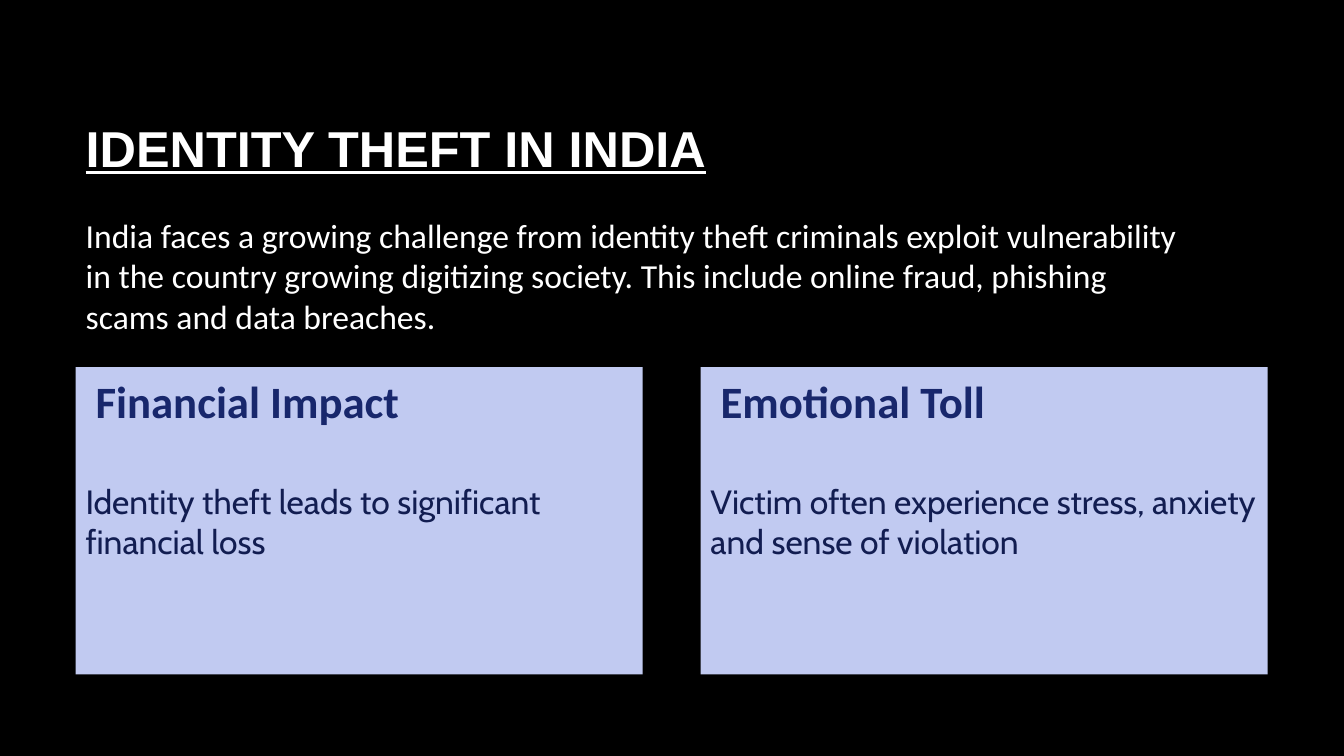
"""Build the slide on identity theft in India."""
import dataclasses

import pptx
import pptx.dml.color
import pptx.enum.shapes
import pptx.enum.text
import pptx.oxml
import pptx.util

Pt = pptx.util.Pt
Anchor = pptx.enum.text.MSO_ANCHOR


@dataclasses.dataclass(frozen=True)
class Theme:
    """Hold the colours and text formats."""
    background: str = "000000"
    card: str = "C1CAF1"
    title: dict = dataclasses.field(default_factory=lambda: dict(
        name="Arial", size=Pt(36), color="FFFFFF", bold=True, underline=True))
    intro: dict = dataclasses.field(default_factory=lambda: dict(
        name="Calibri", size=Pt(24), color="FFFFFF"))
    heading: dict = dataclasses.field(default_factory=lambda: dict(
        name="Calibri", size=Pt(32), color="18276C", bold=True))
    detail: dict = dataclasses.field(default_factory=lambda: dict(
        name="Cabin", size=Pt(24), color="121D51", bold=False))


class SlideBuilder:
    """Place styled elements on a grid of 160 columns by 90 rows."""

    def __init__(self, presentation, theme):
        self.theme = theme
        self.column = presentation.slide_width / 160
        self.row = presentation.slide_height / 90
        self.slide = presentation.slides.add_slide(presentation.slide_layouts[1])
        self.fill(self.slide.background.fill, theme.background)

    def fill(self, target, color):
        target.solid()
        target.fore_color.rgb = pptx.dml.color.RGBColor.from_string(color)

    def box(self, left, top, width, height):
        return (round(left * self.column), round(top * self.row),
                round(width * self.column), round(height * self.row))

    def frame(self, shape, anchor, margin_top=Pt(3.6)):
        settings = dict(word_wrap=True, auto_size=pptx.enum.text.MSO_AUTO_SIZE.NONE,
                        vertical_anchor=anchor, margin_top=margin_top)
        for name, value in settings.items():
            setattr(shape.text_frame, name, value)

    def add_text(self, paragraph, text, style, indent=0, space_before=Pt(0)):
        run = paragraph.add_run()
        run.text = text
        for name, value in style.items():
            if name == "color":
                run.font.color.rgb = pptx.dml.color.RGBColor.from_string(value)
            else:
                setattr(run.font, name, value)
        paragraph.alignment = pptx.enum.text.PP_ALIGN.LEFT
        paragraph.space_before = space_before
        properties = paragraph._p.get_or_add_pPr()
        properties.set("marL", str(indent))
        properties.set("indent", "0")
        return properties

    def placeholder(self, shape, box, text, style, anchor, **frame):
        shape.left, shape.top, shape.width, shape.height = self.box(*box)
        self.frame(shape, anchor, **frame)
        return self.add_text(shape.text_frame.paragraphs[0], text, style)

    def title(self, text, box):
        self.placeholder(self.slide.shapes.title, box, text, self.theme.title, Anchor.MIDDLE)

    def intro(self, text, box):
        properties = self.placeholder(self.slide.placeholders[1], box, text,
                                      self.theme.intro, Anchor.TOP, margin_top=Pt(6.5))
        properties.append(pptx.oxml.parse_xml(
            '<a:buNone xmlns:a="http://schemas.openxmlformats.org/drawingml/2006/main"/>'))

    def card(self, heading, detail, box):
        shape = self.slide.shapes.add_shape(
            pptx.enum.shapes.MSO_SHAPE.RECTANGLE, *self.box(*box))
        shape.shadow.inherit = False
        self.fill(shape.fill, self.theme.card)
        shape.line.fill.background()
        self.frame(shape, Anchor.TOP, margin_top=Pt(5))
        self.add_text(shape.text_frame.paragraphs[0], heading, self.theme.heading,
                      indent=Pt(7.2))
        self.add_text(shape.text_frame.add_paragraph(), detail, self.theme.detail,
                      space_before=Pt(38))


def main():
    presentation = pptx.Presentation()
    presentation.slide_width = pptx.util.Inches(13.33)
    presentation.slide_height = pptx.util.Inches(7.5)
    builder = SlideBuilder(presentation, Theme())
    margin, text_width, card_width, card_pitch = 9, 133, 67.5, 74.4
    builder.title("IDENTITY THEFT IN INDIA", (margin, 8, text_width, 19))
    builder.intro(
        "India faces a growing challenge from identity theft criminals exploit "
        "vulnerability in the country growing digitizing society. This include "
        "online fraud, phishing scams and data breaches.",
        (margin, 24.5, text_width, 25.5))
    cards = [
        ("Financial Impact", "Identity theft leads to significant financial loss"),
        ("Emotional Toll",
         "Victim often experience stress, anxiety and sense of violation"),
    ]
    for index, (heading, detail) in enumerate(cards):
        builder.card(heading, detail,
                     (margin + index * card_pitch, 43.7, card_width, 36.6))
    presentation.save("out.pptx")


if __name__ == "__main__":
    main()
